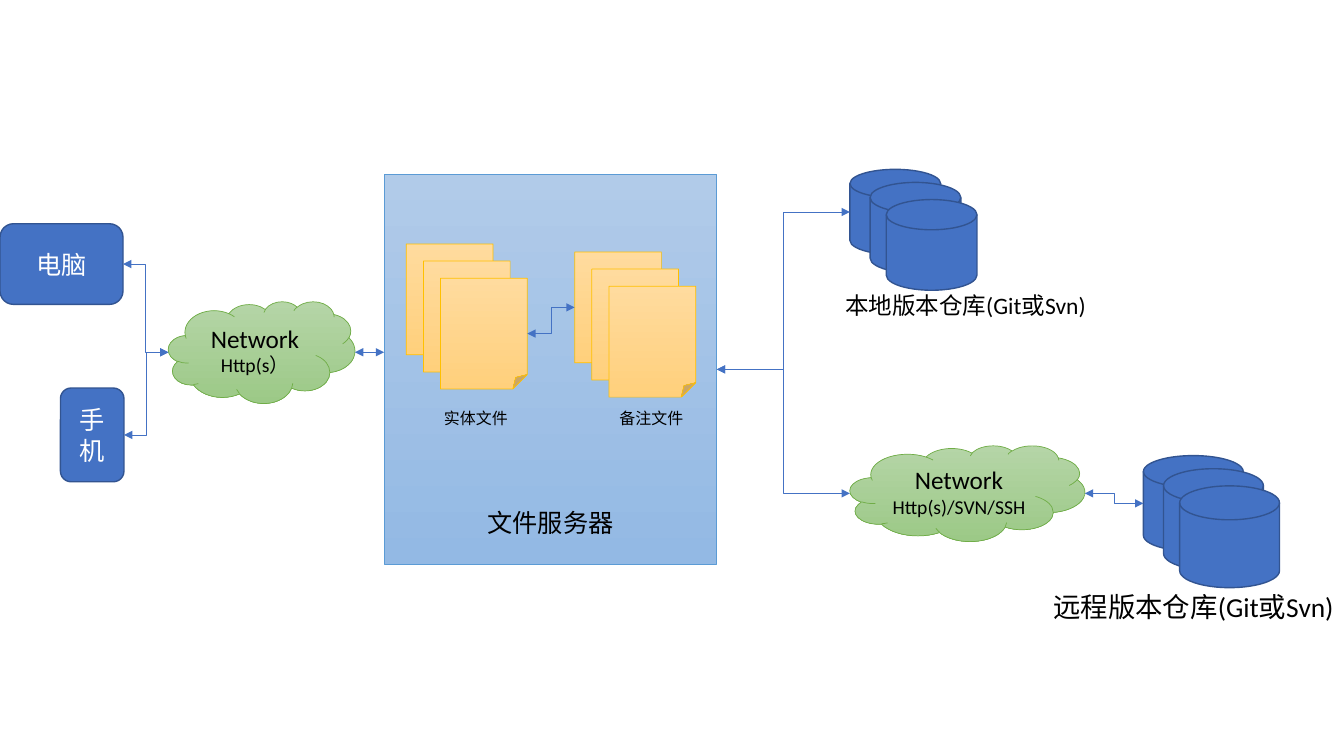
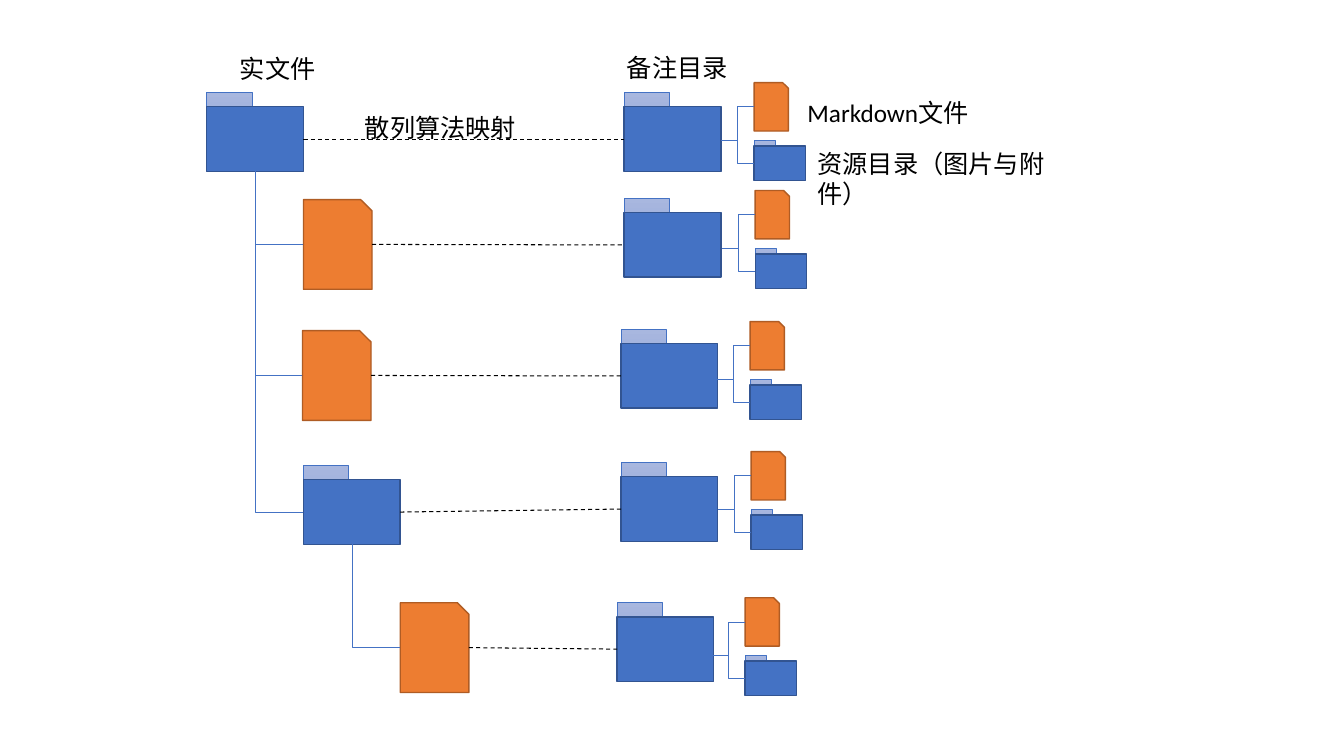
from pptx import Presentation
from pptx.dml.color import RGBColor
from pptx.enum.dml import MSO_LINE
from pptx.enum.shapes import MSO_CONNECTOR, MSO_SHAPE
from pptx.enum.text import MSO_ANCHOR, PP_ALIGN
from pptx.oxml.ns import qn
from pptx.util import Inches, Pt
from lxml import etree

CELL = Inches(1)  # the slide is a grid of square cells
COLUMNS, ROWS = 13.33, 7.5
FONT = "Calibri"

RECT, ROUNDED = MSO_SHAPE.RECTANGLE, MSO_SHAPE.ROUNDED_RECTANGLE
PROCESS, CLOUD = MSO_SHAPE.FLOWCHART_PROCESS, MSO_SHAPE.CLOUD
DISK = MSO_SHAPE.FLOWCHART_MAGNETIC_DISK
FOLDED, SNIPPED = MSO_SHAPE.FOLDED_CORNER, MSO_SHAPE.SNIP_1_RECTANGLE
STRAIGHT, ELBOW = MSO_CONNECTOR.STRAIGHT, MSO_CONNECTOR.ELBOW
LEFT, CENTER = PP_ALIGN.LEFT, PP_ALIGN.CENTER
TOP, MIDDLE, BOTTOM = MSO_ANCHOR.TOP, MSO_ANCHOR.MIDDLE, MSO_ANCHOR.BOTTOM

COLOURS = {
    "blue": "4472C4", "blue edge": "325491",
    "orange": "ED7D31", "orange edge": "AF5C24",
    "green top": "B5D5A7", "green bottom": "9CC987", "green edge": "70AD47",
    "sky top": "B1CBE9", "sky bottom": "93B9E4", "sky edge": "5B9BD5",
    "paper top": "FFDB9E", "paper bottom": "FFD07C", "paper edge": "FFC000",
    "tab top": "A8B7DF", "tab bottom": "889ED7",
    "black": "000000", "white": "FFFFFF",
}

# fill colours from top to bottom, edge colour, edge width
STYLES = {
    "blue": (["blue"], "blue edge", 1),
    "orange": (["orange"], "orange edge", 1),
    "green": (["green top", "green bottom"], "green edge", 0.5),
    "sky": (["sky top", "sky bottom"], "sky edge", 0.5),
    "paper": (["paper top", "paper bottom"], "paper edge", 0.5),
    "tab": (["tab top", "tab bottom"], "blue", 0.5),
}

# width, height, tab width, body height
LARGE_FOLDER = (0.96, 0.78, 0.45, 0.64)
SMALL_FOLDER = (0.51, 0.4, 0.21, 0.34)
LARGE_PAGE = (0.68, 0.89)
SMALL_PAGE = (0.34, 0.48)

# note folder and its details for each row of the mapping
NOTE_ROWS = [
    ((6.19, 0.92), (7.48, 0.82)),
    ((6.19, 1.97), (7.49, 1.89)),
    ((6.16, 3.27), (7.44, 3.19)),
    ((6.16, 4.59), (7.45, 4.48)),
    ((6.12, 5.98), (7.39, 5.93)),
]


def grid(*cells):
    return [int(cell * CELL) for cell in cells]


def colour(name):
    return RGBColor.from_string(COLOURS[name])


def left_middle(shape):
    return shape.left / CELL, (shape.top + shape.height / 2) / CELL


def right_middle(shape):
    return (shape.left + shape.width) / CELL, left_middle(shape)[1]


def bottom_middle(shape):
    return (shape.left + shape.width / 2) / CELL, (shape.top + shape.height) / CELL


def write(shape, lines, ink="black", align=CENTER, anchor=MIDDLE):
    """Fill a shape with (text, size) lines."""
    frame = shape.text_frame
    frame.word_wrap = True
    frame.vertical_anchor = anchor
    frame.text = "\n".join(text for text, _ in lines)
    for paragraph, (_, size) in zip(frame.paragraphs, lines):
        paragraph.alignment = align
        font = paragraph.runs[0].font
        font.name, font.size = FONT, Pt(size)
        font.color.rgb = colour(ink)


def add_block(slide, kind, box, style):
    shape = slide.shapes.add_shape(kind, *grid(*box))
    shape.shadow.inherit = False
    fills, edge, width = STYLES[style]
    if len(fills) == 1:
        shape.fill.solid()
        shape.fill.fore_color.rgb = colour(fills[0])
    else:
        shape.fill.gradient()
        shape.fill.gradient_angle = 270
        for stop, name in zip(shape.fill.gradient_stops, fills):
            stop.color.rgb = colour(name)
    shape.line.color.rgb = colour(edge)
    shape.line.width = Pt(width)
    return shape


def add_label(slide, text, box, size=18, align=LEFT):
    label = slide.shapes.add_textbox(*grid(*box))
    write(label, [(text, size)], align=align, anchor=TOP)
    return label


def add_caption(slide, text, box, size, align=CENTER):
    """Add a label with tight lines."""
    paragraph = add_label(slide, text, box, size, align).text_frame.paragraphs[0]
    paragraph.line_spacing = 0.7
    paragraph.space_before = Pt(10)


def add_link(slide, start, end, kind=ELBOW, ink="blue", width=0.5):
    link = slide.shapes.add_connector(kind, *grid(*start, *end))
    link.line.color.rgb = colour(ink)
    link.line.width = Pt(width)
    etree.SubElement(link._element.spPr, qn("a:effectLst"))
    return link


def add_two_way(slide, start, end):
    line = add_link(slide, start, end).line._get_or_add_ln()
    for tag in ("a:headEnd", "a:tailEnd"):
        etree.SubElement(line, qn(tag), type="triangle")


def add_branch(slide, parent, child):
    """Link a child's left side to the bottom of its parent with one corner."""
    link = add_link(slide, left_middle(child), bottom_middle(parent))
    link._element.spPr.find(qn("a:prstGeom")).set("prst", "bentConnector2")


def add_mapping(slide, source, target):
    link = add_link(slide, right_middle(source), left_middle(target),
                    STRAIGHT, "black", 0.75)
    link.line.dash_style = MSO_LINE.DASH


def add_database(slide, left, top, width, height):
    """Stack three disks and return the rear one."""
    disks = [
        add_block(slide, DISK, (left + dx, top + dy, width, height * share), "blue")
        for dx, dy, share in ((0, 0, 0.94), (0.2, 0.13, 1), (0.36, 0.3, 1))
    ]
    return disks[0]


def add_files(slide, left, top):
    """Stack three sheets and return the rear and the front one."""
    step = 0.17
    sheets = [
        add_block(slide, FOLDED, (left + i * step, top + i * step, 0.86, 1.1), "paper")
        for i in range(3)
    ]
    return sheets[0], sheets[-1]


def add_cloud(slide, box, protocols):
    cloud = add_block(slide, CLOUD, box, "green")
    write(cloud, [("Network", 18), (protocols, 14)])
    return cloud


def add_device(slide, box, name):
    device = add_block(slide, ROUNDED, box, "blue")
    write(device, [(name, 18)], ink="white")
    return device


def add_folder(slide, left, top, size=LARGE_FOLDER):
    """Draw a tab behind a body and return the body."""
    width, height, tab_width, body_height = size
    add_block(slide, RECT, (left, top, tab_width, height - 0.05), "tab")
    return add_block(slide, RECT,
                     (left, top + height - body_height, width, body_height), "blue")


def add_page(slide, left, top, size=LARGE_PAGE):
    return add_block(slide, SNIPPED, (left, top, *size), "orange")


def add_details(slide, left, top):
    """Draw the page and the folder that a note folder holds."""
    page = add_page(slide, left, top, SMALL_PAGE)
    folder = add_folder(slide, left, top + 0.57, SMALL_FOLDER)
    for item in (page, folder):
        add_link(slide, (left - 0.33, top + 0.57), left_middle(item))


def build_architecture(slide):
    server = add_block(slide, PROCESS, (3.81, 1.73, 3.3, 3.87), "sky")
    write(server, [("文件服务器", 18)], anchor=BOTTOM)
    server.text_frame.margin_bottom = Inches(0.27)

    note_rear, _ = add_files(slide, 5.7, 2.5)
    _, entity_front = add_files(slide, 4.03, 2.42)
    add_two_way(slide, right_middle(entity_front), left_middle(note_rear))
    for left, name in ((3.85, "实体文件"), (5.59, "备注文件")):
        add_caption(slide, name, (left, 4.06, 1.74, 0.26), 11.4)

    client_cloud = add_cloud(slide, (1.67, 2.99, 1.85, 1.01), "Http(s）")
    for box, name in (((0, 2.22, 1.22, 0.8), "电脑"),
                      ((0.6, 3.85, 0.63, 0.93), "手机")):
        device = add_device(slide, box, name)
        add_two_way(slide, right_middle(device), left_middle(client_cloud))
    cloud_right, cloud_row = right_middle(client_cloud)
    add_two_way(slide, (cloud_right, cloud_row), (left_middle(server)[0], cloud_row))

    local = add_database(slide, 8.43, 1.68, 0.9, 0.9)
    remote = add_database(slide, 11.34, 4.52, 0.99, 1.01)
    remote_cloud = add_cloud(slide, (8.43, 4.42, 2.33, 0.95), "Http(s)/SVN/SSH")
    for target in (local, remote_cloud):
        add_two_way(slide, right_middle(server), left_middle(target))
    add_two_way(slide, right_middle(remote_cloud), left_middle(remote))
    add_caption(slide, "本地版本仓库(Git或Svn)", (8.21, 2.91, 2.73, 0.35), 16.8)
    add_caption(slide, "远程版本仓库(Git或Svn)", (10.35, 5.89, 3.01, 0.39), 19.6, LEFT)


def build_mapping(slide):
    root = add_folder(slide, 2.05, 0.92)
    subfolder = add_folder(slide, 3.01, 4.62)
    pages = [add_page(slide, 3.01, 1.98), add_page(slide, 3, 3.28)]
    nested_page = add_page(slide, 3.97, 5.98)
    for child in (*pages, subfolder):
        add_branch(slide, root, child)
    add_branch(slide, subfolder, nested_page)

    sources = [root, *pages, subfolder, nested_page]
    for source, (folder_at, details_at) in zip(sources, NOTE_ROWS):
        add_mapping(slide, source, add_folder(slide, *folder_at))
        add_details(slide, *details_at)

    for text, left, top, width in (
        ("散列算法映射", 3.52, 1.07, 1.74),
        ("实文件", 2.28, 0.48, 1.28),
        ("备注目录", 6.12, 0.47, 1.28),
        ("Markdown文件", 7.91, 0.92, 2.33),
        ("资源目录（图片与附件）", 8.01, 1.42, 2.79),
    ):
        add_label(slide, text, (left, top, width, 0.4))


def main():
    presentation = Presentation()
    presentation.slide_width, presentation.slide_height = grid(COLUMNS, ROWS)
    blank = presentation.slide_layouts[6]
    for build in (build_architecture, build_mapping):
        build(presentation.slides.add_slide(blank))
    presentation.save("out.pptx")


if __name__ == "__main__":
    main()
